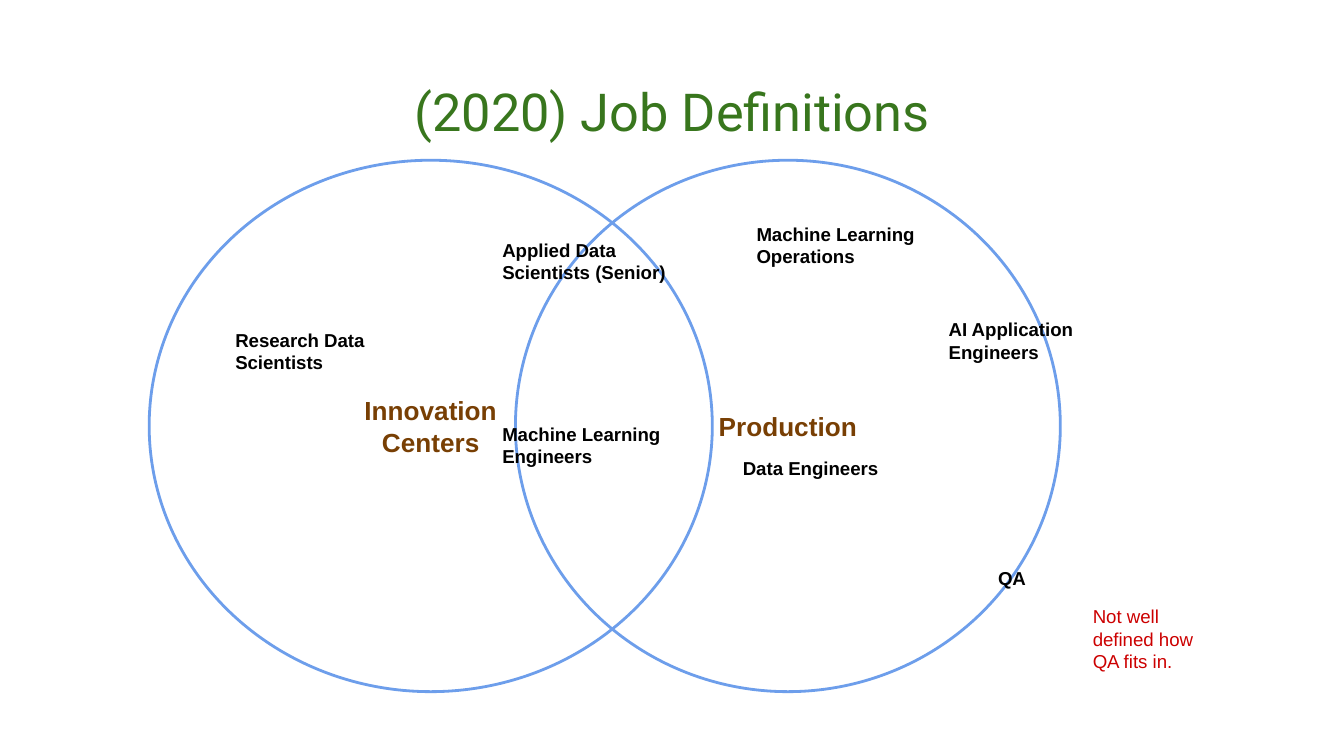
from collections import namedtuple

from pptx import Presentation
from pptx.dml.color import RGBColor
from pptx.enum.shapes import MSO_SHAPE
from pptx.enum.text import MSO_ANCHOR, PP_ALIGN
from pptx.util import Inches, Pt

OVAL = MSO_SHAPE.OVAL
TOP, MIDDLE = MSO_ANCHOR.TOP, MSO_ANCHOR.MIDDLE
LEFT, CENTER = PP_ALIGN.LEFT, PP_ALIGN.CENTER

BLUE = RGBColor(0x6D, 0x9E, 0xEB)
BROWN = RGBColor(0x78, 0x3F, 0x04)
GREEN = RGBColor(0x38, 0x76, 0x1D)
RED = RGBColor(0xCC, 0x00, 0x00)
BLACK = RGBColor(0x00, 0x00, 0x00)

Box = namedtuple("Box", "left top width height")

# Positions and sizes are percentages of the diagram's box.
CIRCLES = [
    ("Production", (40.2, 0, 59.8, 100)),
    ("Innovation\vCenters", (0, 0, 61.8, 100)),
]
JOB_SIZE = (23.6, 12.2)
JOBS = [
    ("Research Data Scientists", (8, 29.1, *JOB_SIZE)),
    ("Applied Data Scientists (Senior)", (37.3, 12.2, *JOB_SIZE)),
    ("Machine Learning Engineers", (37.3, 46.8, *JOB_SIZE)),
    ("Machine Learning\nOperations", (65.2, 9.2, *JOB_SIZE)),
    ("Data Engineers", (63.7, 53.7, *JOB_SIZE)),
    ("AI Application\vEngineers", (86.3, 27.2, *JOB_SIZE)),
    ("QA", (91.7, 74.4, 7.1, 10.6)),
]
QA_NOTE = ("Not well defined how QA fits in.", (102.1, 81.2, 15, 15.9))


def part_of(box, percentages):
    """Return the box that takes the given percentages of a larger box."""
    left, top, width, height = (value / 100 for value in percentages)
    return Box(int(box.left + left * box.width), int(box.top + top * box.height),
               int(width * box.width), int(height * box.height))


def write_text(shape, text, size, color, font="Arial", bold=False,
               align=LEFT, anchor=TOP):
    frame = shape.text_frame
    frame.word_wrap = True
    frame.vertical_anchor = anchor
    frame.margin_left = frame.margin_right = Inches(0.1)
    frame.margin_top = frame.margin_bottom = Inches(0.1)
    frame.text = text
    for paragraph in frame.paragraphs:
        paragraph.alignment = align
        paragraph.font.name = font
        paragraph.font.size = Pt(size)
        paragraph.font.bold = bold
        paragraph.font.color.rgb = color


def place_title(slide, box):
    title = slide.shapes.title
    title.left, title.top, title.width, title.height = box
    write_text(title, "(2020) Job Definitions", 28, GREEN, font="Roboto",
               align=CENTER)


def add_circle(slide, box, text):
    circle = slide.shapes.add_shape(OVAL, *box)
    circle.shadow.inherit = False
    circle.fill.background()
    circle.line.color.rgb = BLUE
    circle.line.width = Pt(1.5)
    write_text(circle, text, 14, BROWN, bold=True, align=CENTER, anchor=MIDDLE)


def add_label(slide, box, text, color=BLACK, bold=True):
    label = slide.shapes.add_textbox(*box)
    write_text(label, text, 10, color, bold=bold)


def add_venn_diagram(slide, box):
    for text, place in CIRCLES:
        add_circle(slide, part_of(box, place), text)
    for text, place in JOBS:
        add_label(slide, part_of(box, place), text)
    note, place = QA_NOTE
    add_label(slide, part_of(box, place), note, RED, bold=False)


def main():
    presentation = Presentation()
    presentation.slide_width = Inches(10)
    presentation.slide_height = presentation.slide_width * 9 // 16
    page = Box(0, 0, presentation.slide_width, presentation.slide_height)
    slide = presentation.slides.add_slide(presentation.slide_layouts[5])
    place_title(slide, part_of(page, (3.4, 8.7, 93.2, 11.2)))
    add_venn_diagram(slide, part_of(page, (11.1, 21.2, 67.8, 70.3)))
    presentation.save("out.pptx")


if __name__ == "__main__":
    main()
